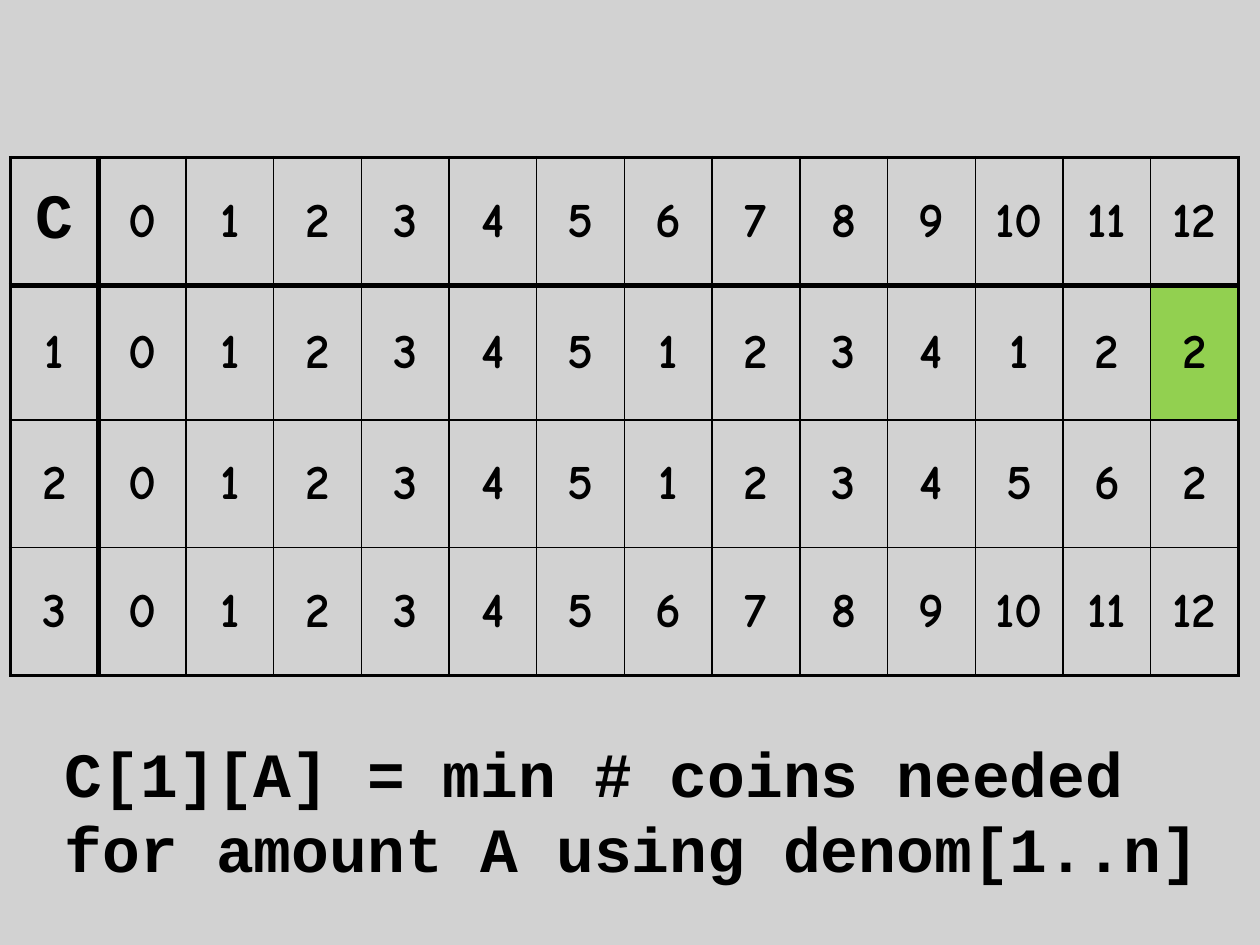
from lxml.etree import SubElement
from pptx import Presentation
from pptx.dml.color import RGBColor
from pptx.enum.shapes import MSO_SHAPE as Shape
from pptx.enum.text import MSO_ANCHOR as Anchor, MSO_AUTO_SIZE as AutoSize, PP_ALIGN as Align
from pptx.oxml.ns import qn
from pptx.util import Pt

BLACK = RGBColor(0x00, 0x00, 0x00)
GREY = RGBColor(0xC0, 0xC0, 0xC0)
GREEN = RGBColor(0x92, 0xD0, 0x50)

CODE = dict(name="Courier New", size=Pt(36), bold=True)
NUMBER = dict(name="Comic Neue", size=Pt(28), bold=True)

THIN, OUTER, HEADER = 1, 2.25, 3
ROW_HEIGHTS = [73, 77, 73, 73]
COINS = [
    ["C", *range(13)],
    [1, 0, 1, 2, 3, 4, 5, 1, 2, 3, 4, 1, 2, 2],
    [2, 0, 1, 2, 3, 4, 5, 1, 2, 3, 4, 5, 6, 2],
    [3, *range(13)],
]
ANSWER = (1, 13)


def write(tf, text, fmt, align=Align.LEFT):
    p = tf.paragraphs[0]
    p.alignment = align
    r = p.add_run()
    r.text = text
    for key, value in fmt.items():
        setattr(r.font, key, value)
    r.font.color.rgb = BLACK


def add_backdrop(slide, width, height):
    sp = slide.shapes.add_shape(Shape.RECTANGLE, 0, 0, width, height)
    sp.shadow.inherit = False
    sp.line.fill.background()
    sp.fill.solid()
    sp.fill.fore_color.rgb = GREY
    color = sp._element.spPr.find(".//" + qn("a:srgbClr"))
    SubElement(color, qn("a:alpha"), val="70000")


def edge_width(index, count):
    """Width of the grid line before the given row or column."""
    if index in (0, count):
        return OUTER
    return HEADER if index == 1 else THIN


def set_borders(cell, row, col, n_rows, n_cols):
    widths = dict(
        lnL=edge_width(col, n_cols),
        lnR=edge_width(col + 1, n_cols),
        lnT=edge_width(row, n_rows),
        lnB=edge_width(row + 1, n_rows),
    )
    tc_pr = cell._tc.get_or_add_tcPr()
    for tag, width in widths.items():
        ln = SubElement(tc_pr, qn(f"a:{tag}"), w=str(Pt(width)))
        fill = SubElement(ln, qn("a:solidFill"))
        SubElement(fill, qn("a:srgbClr"), val=str(BLACK))


def add_coin_table(slide):
    n_rows, n_cols = len(COINS), len(COINS[0])
    frame = slide.shapes.add_table(
        n_rows, n_cols, Pt(6), Pt(90), Pt(702), Pt(sum(ROW_HEIGHTS)))
    table = frame.table
    table.first_row = table.horz_banding = False
    for i, values in enumerate(COINS):
        table.rows[i].height = Pt(ROW_HEIGHTS[i])
        for j, value in enumerate(values):
            cell = table.cell(i, j)
            cell.vertical_anchor = Anchor.MIDDLE
            write(cell.text_frame, str(value), CODE if value == "C" else NUMBER, Align.CENTER)
            set_borders(cell, i, j, n_rows, n_cols)
            if (i, j) == ANSWER:
                cell.fill.solid()
                cell.fill.fore_color.rgb = GREEN
            else:
                cell.fill.background()


def add_definition(slide, text):
    sp = slide.shapes.add_textbox(Pt(30), Pt(416), Pt(672), Pt(94))
    tf = sp.text_frame
    tf.word_wrap = True
    tf.auto_size = AutoSize.SHAPE_TO_FIT_TEXT
    write(tf, text, CODE)


def main():
    prs = Presentation()
    prs.slide_width, prs.slide_height = Pt(720), Pt(540)
    slide = prs.slides.add_slide(prs.slide_layouts[6])

    # Translucent grey backdrop
    add_backdrop(slide, prs.slide_width, prs.slide_height)
    # Minimum coin counts by first denomination and amount
    add_coin_table(slide)
    # Meaning of a table entry
    add_definition(slide, "C[1][A] = min # coins needed for amount A using denom[1..n]")

    prs.save("out.pptx")


if __name__ == "__main__":
    main()
